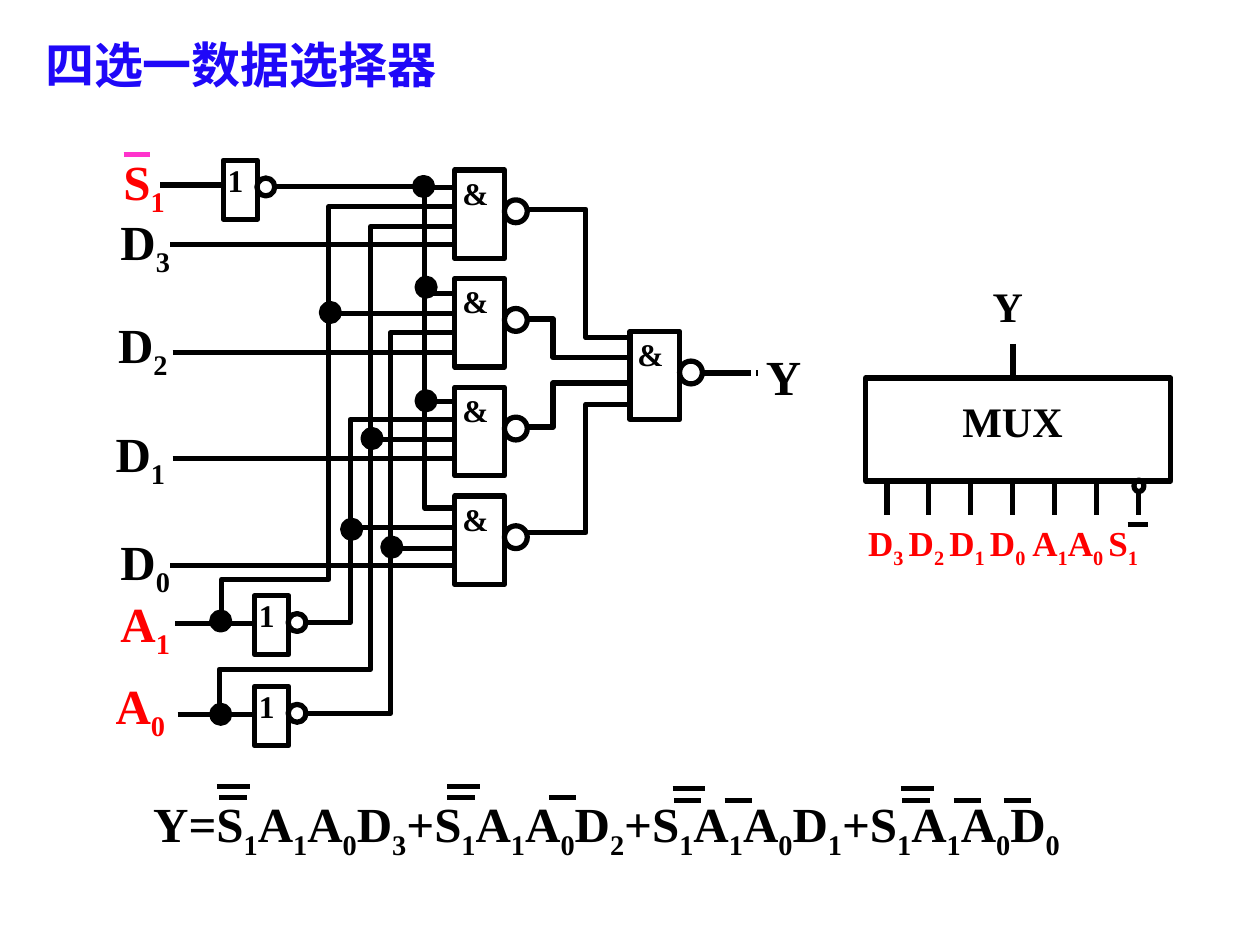
from dataclasses import dataclass

from lxml.etree import SubElement
from pptx import Presentation
from pptx.dml.color import RGBColor as Rgb
from pptx.enum.shapes import MSO_CONNECTOR as Link, MSO_SHAPE as Kind
from pptx.enum.text import MSO_ANCHOR as Anchor
from pptx.oxml.ns import qn
from pptx.util import Cm, Pt


@dataclass(frozen=True)
class Theme:
    font: str = "Times New Roman"
    ink: Rgb = Rgb(0, 0, 0)
    red: Rgb = Rgb(0xFF, 0, 0)
    blue: Rgb = Rgb(0x1F, 0x08, 0xF8)
    pink: Rgb = Rgb(0xFF, 0x33, 0xCC)
    white: Rgb = Rgb(0xFF, 0xFF, 0xFF)
    stroke: Pt = Pt(3)
    big: Pt = Pt(28)
    mid: Pt = Pt(24)
    pin: Pt = Pt(20)
    gate: Pt = Pt(18)


T = Theme()


def style(shape, tint):
    shape.shadow.inherit = False
    shape.fill.background()
    shape.line.color.rgb = tint
    shape.line.width = T.stroke
    return shape


def box(slide, x, y, w, h, kind=Kind.RECTANGLE, tint=T.ink):
    return style(slide.shapes.add_shape(kind, Cm(x), Cm(y), Cm(w), Cm(h)), tint)


def ring(slide, x, y, w, h):
    return box(slide, x, y, w, h, Kind.OVAL)


def dot(slide, x, y):
    shape = ring(slide, x, y, 0.36, 0.36)
    shape.fill.solid()
    shape.fill.fore_color.rgb = T.ink


def line(slide, x1, y1, x2, y2, tint=T.ink):
    link = slide.shapes.add_connector(Link.STRAIGHT, Cm(x1), Cm(y1), Cm(x2), Cm(y2))
    link.line.color.rgb = tint
    link.line.width = T.stroke
    SubElement(link._element.spPr, qn("a:effectLst"))


def flat(slide, x1, x2, y, tint=T.ink):
    """Draw a horizontal line."""
    line(slide, x1, y, x2, y, tint)


def wire(slide, *spots):
    """Draw an open path through the corner points."""
    first, *rest = [(Cm(x), Cm(y)) for x, y in spots]
    path = slide.shapes.build_freeform(*first)
    path.add_line_segments(rest, close=False)
    style(path.convert_to_shape(), T.ink)


def write(shape, text, size, tint=T.ink, wrap=True, anchor=Anchor.TOP):
    """Fill in text; each "_" switches between base line and subscript."""
    frame = shape.text_frame
    frame.word_wrap = wrap
    frame.vertical_anchor = anchor
    para = frame.paragraphs[0]
    para.alignment = 1
    for i, part in enumerate(text.split("_")):
        run = para.add_run()
        run.text = part
        font = run.font
        font.name, font.size, font.bold = T.font, size, True
        font.color.rgb = tint
        if i % 2:
            run._r.get_or_add_rPr().set("baseline", "-25000")


def label(slide, x, y, w, h, text, size, tint=T.ink, **more):
    area = slide.shapes.add_textbox(Cm(x), Cm(y), Cm(w), Cm(h))
    write(area, text, size, tint, **more)


def framed(slide, x, y, w, h, text, size):
    """Place text in a box with a white edge."""
    write(box(slide, x, y, w, h, tint=T.white), text, size)


def nand(slide, x, y):
    box(slide, x, y, 1, 1.78)
    ring(slide, x + 1, y + 0.6, 0.46, 0.46)
    label(slide, x - 0.1, y - 0.05, 1.04, 1.02, "&", T.gate)


def invert(slide, x, y):
    box(slide, x, y, 0.69, 1.19)
    ring(slide, x + 0.68, y + 0.36, 0.36, 0.36)
    label(slide, x - 0.16, y - 0.11, 1.04, 1.02, "1", T.gate)


def wires(slide):
    # NAND outputs into the final gate
    for x, y, bus, end in ((10.64, 6.43, 11.15, 7.21), (10.64, 8.61, 11.15, 7.72),
                           (10.62, 4.22, 11.81, 6.81), (10.62, 10.74, 11.81, 8.15)):
        wire(slide, (x, y), (bus, y), (bus, end), (12.65, end))
    # inverter outputs
    for x, y, bus, end in ((5.54, 3.76, 8.56, 10.24), (6.12, 14.38, 7.87, 6.71),
                           (6.12, 12.55, 7.06, 8.46)):
        wire(slide, (x, y), (bus, y), (bus, end), (9.17, end))
    # direct address lines
    for x, y, turn, bus, end in ((4.42, 14.38, 13.49, 7.47, 4.57),
                                 (4.47, 12.55, 11.68, 6.63, 4.17)):
        wire(slide, (x, y), (x, turn), (bus, turn), (bus, end), (9.17, end))
    # taps from the buses
    for x, y in ((8.56, 3.78), (8.56, 5.92), (8.56, 8.1), (7.87, 11.05),
                 (7.42, 8.86), (7.01, 10.64), (6.58, 6.32)):
        flat(slide, x, 9.17, y)
    # data inputs, then select inputs, then the output
    for x, y in ((3.43, 4.93), (3.48, 7.11), (3.48, 9.25), (3.43, 11.4)):
        flat(slide, x, 9.15, y)
    for x1, x2, y in ((3.23, 4.47, 3.73), (3.53, 5.08, 12.57),
                      (3.58, 5.08, 14.4), (14.15, 15.29, 7.52)):
        flat(slide, x1, x2, y)
    for x, y in ((4.27, 14.22), (4.27, 12.34), (6.48, 6.12), (6.91, 10.49), (7.32, 8.66),
                 (7.72, 10.85), (8.41, 7.9), (8.41, 5.61), (8.36, 3.58)):
        dot(slide, x, y)


def circuit(slide):
    for i in range(4):
        nand(slide, 9.17, 3.43 + 2.19 * i)
    nand(slide, 12.7, 6.68)
    for x, y in ((4.5, 3.23), (5.13, 12.01), (5.13, 13.84)):
        invert(slide, x, y)
    wires(slide)
    for text, x, y, tint in (
            ("S_1", 2.24, 2.92, T.red), ("D_3", 2.18, 4.14, T.ink),
            ("D_2", 2.13, 6.22, T.ink), ("D_1", 2.08, 8.41, T.ink),
            ("D_0", 2.18, 10.59, T.ink), ("A_1", 2.18, 11.84, T.red),
            ("A_0", 2.08, 13.49, T.red)):
        label(slide, x, y, 1.8, 1.45, text, T.big, tint)
    flat(slide, 2.49, 3.02, 3.12, T.pink)
    framed(slide, 15.19, 6.86, 1.7, 1.45, "Y", T.big)


def symbol(slide):
    box(slide, 17.45, 7.62, 6.15, 2.08)
    for i in range(7):
        x = 17.88 + 0.845 * i
        line(slide, x, 9.9 if i == 6 else 9.68, x, 10.39)
    ring(slide, 22.86, 9.68, 0.2, 0.23)
    line(slide, 20.42, 6.93, 20.42, 7.62)
    label(slide, 17.25, 10.39, 6.32, 1.09,
          "D_3 _D_2 _D_1 _D_0_ A_1_A_0 _S_1", T.pin, T.red)
    flat(slide, 22.73, 23.14, 10.57)
    label(slide, 19.15, 7.85, 2.54, 1.27, "MUX", T.mid, wrap=False)
    framed(slide, 19.76, 5.54, 1.5, 1.27, "Y", T.mid)


def formula(slide):
    terms = "_+".join(f"S_1_A_1_A_0_D_{n}" for n in (3, 2, 1, 0))
    framed(slide, 2.84, 15.88, 20.47, 1.45, "Y=" + terms, T.big)
    for y, size, starts in ((16.08, 0.55, (4.42, 9.02, 11.07)),
                            (16.13, 0.55, (13.59, 14.61, 18.19, 19.23, 20.24)),
                            (15.85, 0.66, (4.37, 9.02)),
                            (15.9, 0.66, (13.56, 18.16))):
        for x in starts:
            flat(slide, x, x + size, y)


def main():
    deck = Presentation()
    deck.slide_width, deck.slide_height = Cm(25.4), Cm(19.05)
    slide = deck.slides.add_slide(deck.slide_layouts[6])
    label(slide, 0.66, 0.66, 9.04, 1.27, "四选一数据选择器", T.big, T.blue,
          anchor=Anchor.MIDDLE)
    symbol(slide)
    circuit(slide)
    formula(slide)
    deck.save("out.pptx")


if __name__ == "__main__":
    main()
